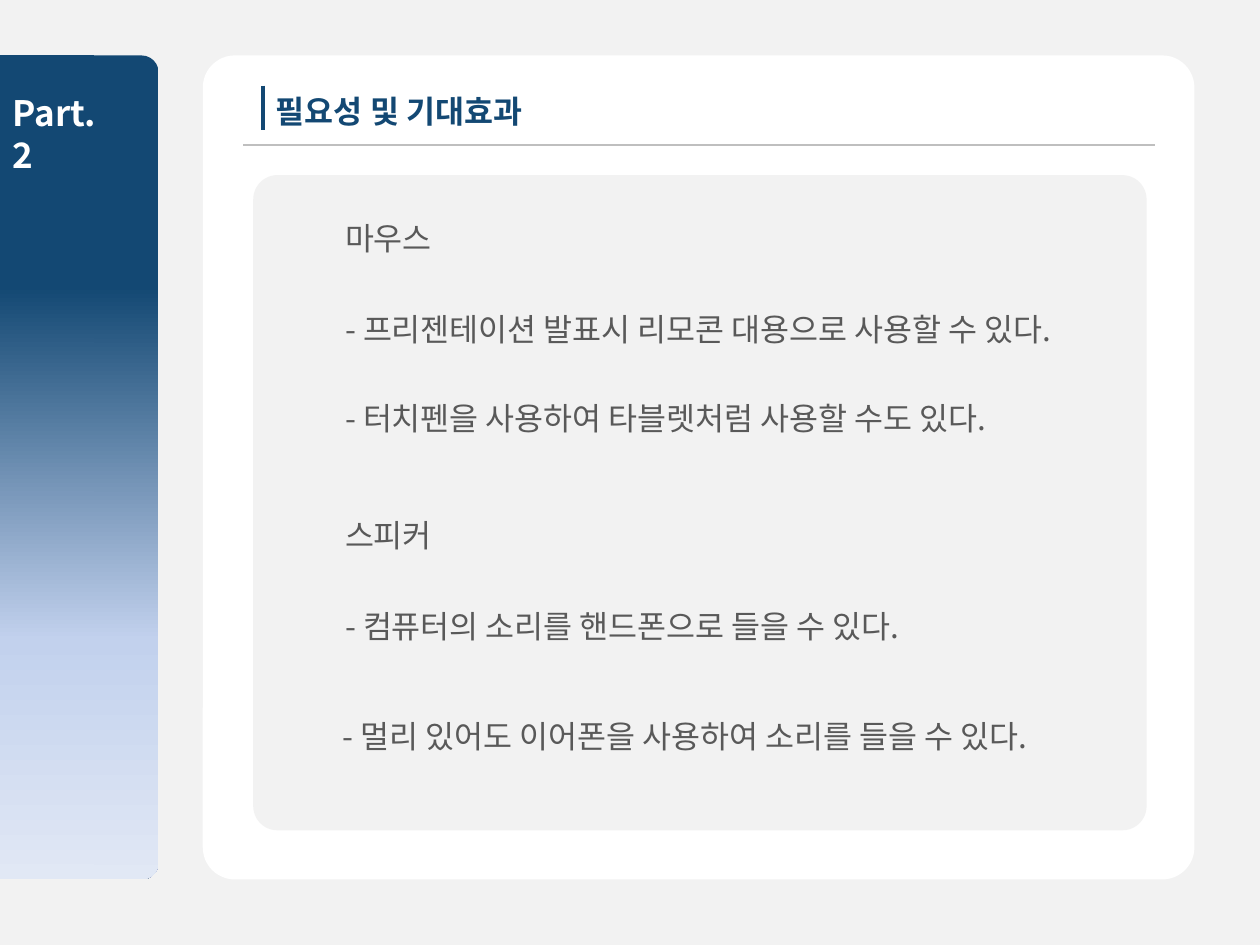
from copy import deepcopy

from lxml import etree
from pptx import Presentation
from pptx.dml.color import RGBColor
from pptx.enum.shapes import MSO_CONNECTOR, MSO_SHAPE
from pptx.enum.text import MSO_ANCHOR, MSO_AUTO_SIZE, PP_ALIGN
from pptx.oxml.ns import qn
from pptx.util import Inches, Pt

RECT = MSO_SHAPE.RECTANGLE
ROUND = MSO_SHAPE.ROUNDED_RECTANGLE
STRAIGHT = MSO_CONNECTOR.STRAIGHT
LEFT = PP_ALIGN.LEFT
TOP = MSO_ANCHOR.TOP
NO_FIT = MSO_AUTO_SIZE.NONE

FONT = "Noto Sans CJK KR"
COLORS = {
    "navy": "134873",
    "sky": "C2D1ED",
    "mist": "E1E8F5",
    "white": "FFFFFF",
    "black": "000000",
    "panel": "F2F2F2",
    "rule": "BFBFBF",
    "text": "595959",
}
TAB_STOPS = [(0.28, "navy"), (0.71, "sky"), (1, "mist")]

# Left offset, top offset and wording of each line in the panel
BODY_LINES = [
    (0.63, 0.30, "마우스"),
    (0.63, 1.02, "- 프리젠테이션 발표시 리모콘 대용으로 사용할 수 있다."),
    (0.63, 1.73, "- 터치펜을 사용하여 타블렛처럼 사용할 수도 있다."),
    (0.63, 2.66, "스피커"),
    (0.63, 3.38, "- 컴퓨터의 소리를 핸드폰으로 들을 수 있다."),
    (0.61, 4.25, "- 멀리 있어도 이어폰을 사용하여 소리를 들을 수 있다."),
]


def rgb(name):
    return RGBColor.from_string(COLORS[name])


def inches(*lengths):
    return [Inches(length) for length in lengths]


def add_block(shapes, kind, box, color, corner=None):
    block = shapes.add_shape(kind, *inches(*box))
    block.shadow.inherit = False
    block.line.fill.background()
    block.fill.solid()
    block.fill.fore_color.rgb = rgb(color)
    if corner is not None:
        block.adjustments[0] = corner
    return block


def add_line(page, start, end, color, width):
    line = page.shapes.add_connector(STRAIGHT, *inches(*start, *end))
    line.line.color.rgb = rgb(color)
    line.line.width = Pt(width)
    etree.SubElement(line._element.spPr, qn("a:effectLst"))


def write(shape, text, size, color, bold=False):
    frame = shape.text_frame
    frame.text = text
    frame.word_wrap = True
    frame.auto_size = NO_FIT
    frame.vertical_anchor = TOP
    para = frame.paragraphs[0]
    para.alignment = LEFT
    font = para.font
    font.name = FONT
    font.size = Pt(size)
    font.bold = bold
    font.color.rgb = rgb(color)
    # Korean letters take the East Asian typeface
    latin = para._p.pPr.find(qn("a:defRPr")).find(qn("a:latin"))
    east_asian = etree.Element(qn("a:ea"), typeface=FONT)
    latin.addnext(east_asian)


def shade_tab(block):
    fill = block.fill
    fill.gradient()
    fill.gradient_angle = 270
    stop_list = block._element.spPr.find(qn("a:gradFill")).find(qn("a:gsLst"))
    stop_list.append(deepcopy(stop_list[-1]))
    for stop, (position, color) in zip(fill.gradient_stops, TAB_STOPS):
        stop.position = position
        stop.color.rgb = rgb(color)


def add_backdrop(page, box):
    backdrop = add_block(page.shapes, RECT, box, "black")
    color = backdrop._element.spPr.find(qn("a:solidFill"))[0]
    etree.SubElement(color, qn("a:alpha"), val="5000")


def add_part_tab(page, box):
    left, top, width, height = box
    # The square block hides the rounded corners at the slide edge
    group = page.shapes.add_group_shape()
    shade_tab(add_block(group.shapes, ROUND, box, "navy", 0.108))
    shade_tab(add_block(group.shapes, RECT, (left, top, 0.75, height), "navy"))
    label = page.shapes.add_textbox(*inches(left, top + 0.24, 0.98, 0.77))
    write(label, "Part.2", 20, "white", bold=True)


def add_heading(page, box):
    left, top, width, height = box
    bottom = top + height
    bar = left + 0.16
    add_line(page, (left, bottom), (left + width, bottom), "rule", 1.5)
    add_line(page, (bar, top), (bar, top + 0.35), "navy", 2.25)
    title = page.shapes.title
    title.left, title.top, title.width, title.height = inches(bar, top, 2.4, 0.4)
    write(title, "필요성 및 기대효과", 18, "navy", bold=True)
    # Bring the title in front of the card
    page.shapes._spTree.append(title._element)


def add_body(page, box):
    left, top, width, height = box
    add_block(page.shapes, ROUND, box, "panel", 0.037)
    for indent, drop, text in BODY_LINES:
        line = page.shapes.add_textbox(*inches(left + indent, top + drop, 6.54, 0.4))
        write(line, text, 18, "text")


def main():
    deck = Presentation()
    deck.slide_width, deck.slide_height = inches(10, 7.5)
    page = deck.slides.add_slide(deck.slide_layouts[5])

    add_backdrop(page, (0, 0, 10, 7.5))
    add_block(page.shapes, ROUND, (1.61, 0.44, 7.87, 6.54), "white", 0.039)
    add_part_tab(page, (0, 0.44, 1.26, 6.54))
    add_heading(page, (1.93, 0.68, 7.24, 0.47))
    add_body(page, (2.01, 1.39, 7.09, 5.2))

    deck.save("out.pptx")


if __name__ == "__main__":
    main()
